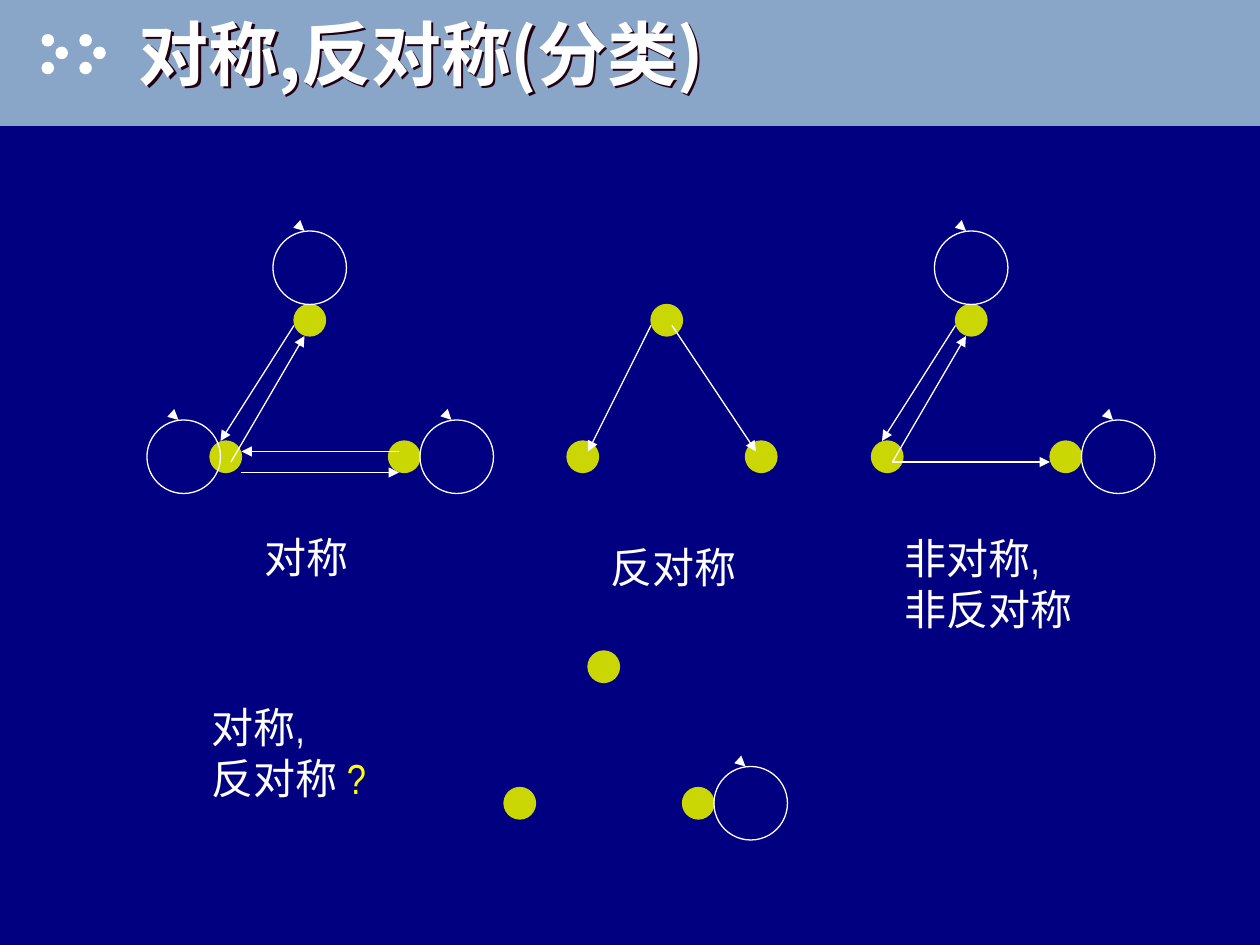
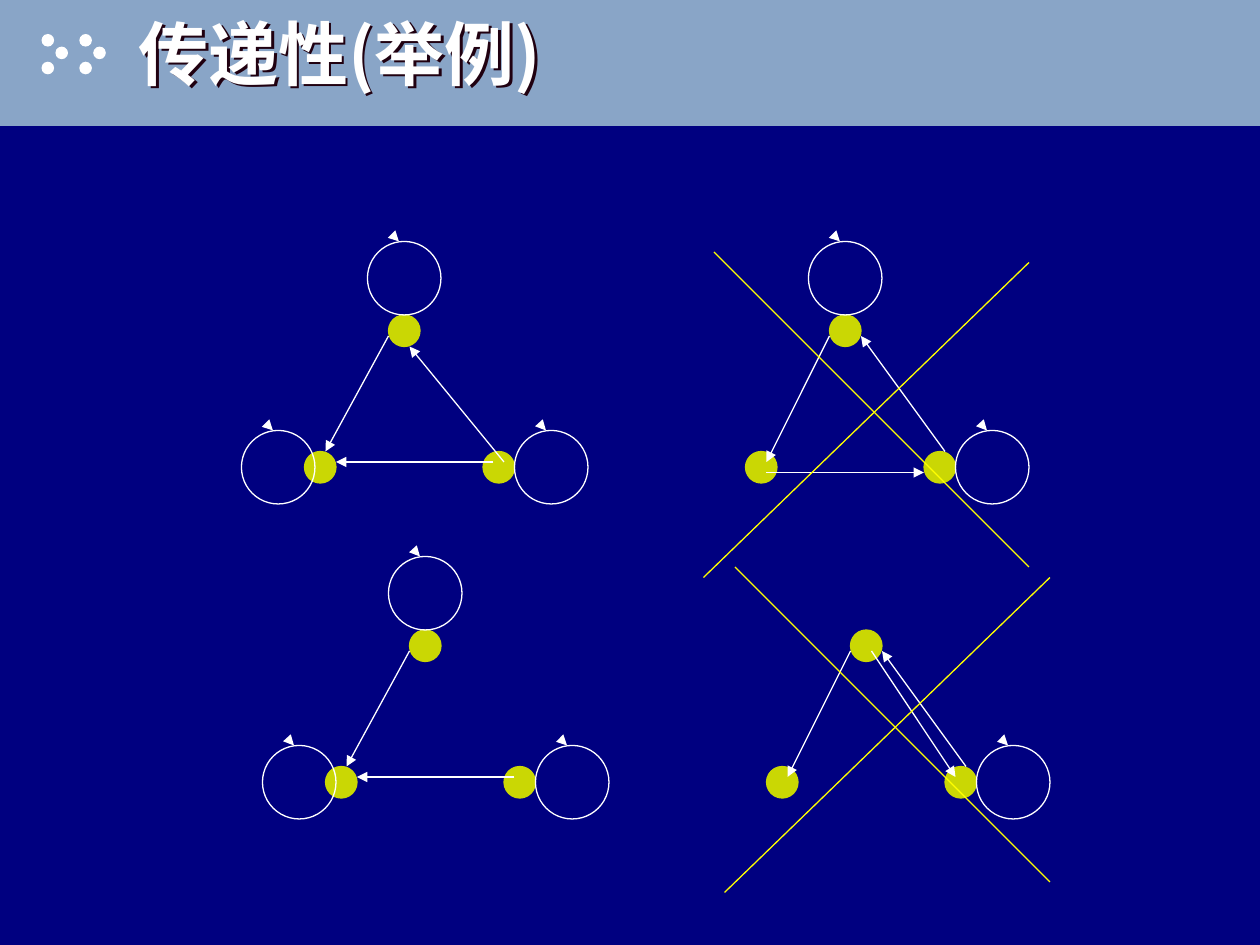
"""Build two slides of relation graphs: symmetry classes and transitivity examples."""
import pptx
import pptx.dml.color
import pptx.enum.shapes
import pptx.enum.text
import pptx.oxml
import pptx.util
from pptx.util import Inches

NAVY = pptx.dml.color.RGBColor(0x00, 0x00, 0x80)
BAND_BLUE = pptx.dml.color.RGBColor(0x89, 0xA5, 0xC7)
LIME = pptx.dml.color.RGBColor(0xCA, 0xD7, 0x04)
WHITE = pptx.dml.color.RGBColor(0xFF, 0xFF, 0xFF)
YELLOW = pptx.dml.color.RGBColor(0xFF, 0xFF, 0x00)
TITLE_SHADOW = pptx.dml.color.RGBColor(0x20, 0x00, 0x10)
CJK_FONT = "Noto Sans CJK SC"
DRAWING_NS = 'xmlns:a="http://schemas.openxmlformats.org/drawingml/2006/main"'
RECT = pptx.enum.shapes.MSO_SHAPE.RECTANGLE
OVAL = pptx.enum.shapes.MSO_SHAPE.OVAL
LINE_WIDTH = pptx.util.Pt(0.75)

GRID = Inches(1) / 12
NODE_SIZE = 3
LOOP_SIZE = 7
NODES = {"top": (0, 0), "left": (-8, 13), "right": (9, 13)}
LOOPS = {"top": (-2, -7), "left": (-14, 11), "right": (12, 11)}
CROSS = [(-11, -6, 19, 24), (-12, 25, 19, -5)]

TOP_TO_LEFT = (0, 2, -6, 14)
TOP_TO_LEFT_EDGE = (0, 2, -6, 13)
TOP_TO_LEFT_OUTER = (0, 2, -7, 13)
TOP_TO_RIGHT = (2, 2, 10, 14)
LEFT_TO_TOP = (-6, 15, 1, 3)
LEFT_TO_RIGHT = (-6, 15, 9, 15)
LEFT_TO_RIGHT_LOW = (-5, 16, 10, 16)
RIGHT_TO_LEFT = (10, 14, -5, 14)
RIGHT_TO_TOP = (11, 14, 2, 3)
RIGHT_TO_TOP_EDGE = (11, 13, 3, 2)

SLIDES = [
    ("对称,反对称(分类)", [
        (28, 29, ["top", "left", "right"],
         [LEFT_TO_TOP, LEFT_TO_RIGHT_LOW, TOP_TO_LEFT_OUTER, RIGHT_TO_LEFT], False),
        (62, 29, [], [TOP_TO_RIGHT, TOP_TO_LEFT], False),
        (91, 29, ["top", "right"],
         [LEFT_TO_TOP, LEFT_TO_RIGHT, TOP_TO_LEFT_OUTER], False),
        (56, 62, ["right"], [], False),
    ], [
        (2, 4.17, 0.92, 0.5, "对称", ""),
        (4.75, 4.25, 1.42, 0.5, "反对称", ""),
        (7.08, 4.18, 1.83, 0.9, "非对称,\n非反对称", ""),
        (1.58, 5.52, 1.75, 0.9, "对称,\n反对称 ", "?"),
    ]),
    ("传递性(举例)", [
        (37, 30, ["top", "left", "right"],
         [TOP_TO_LEFT_EDGE, RIGHT_TO_LEFT, RIGHT_TO_TOP], False),
        (79, 30, ["top", "right"],
         [TOP_TO_LEFT, RIGHT_TO_TOP_EDGE, LEFT_TO_RIGHT], True),
        (39, 60, ["top", "left", "right"],
         [TOP_TO_LEFT_EDGE, RIGHT_TO_LEFT], False),
        (81, 60, ["right"],
         [TOP_TO_RIGHT, TOP_TO_LEFT, RIGHT_TO_TOP_EDGE], True),
    ], []),
]


def add_text(paragraph, text, size=24, font="Arial Narrow", color=WHITE, bold=False):
    for number, line in enumerate(text.split("\n")):
        if number:
            paragraph.add_line_break()
        run = paragraph.add_run()
        run.text = line
        run.font.size = pptx.util.Pt(size)
        run.font.bold = bold
        run.font.color.rgb = color
        run.font.name = font
        run._r.get_or_add_rPr().append(
            pptx.oxml.parse_xml(f'<a:ea {DRAWING_NS} typeface="{CJK_FONT}"/>'))


def add_line(slide, x1, y1, x2, y2, color=WHITE, arrow=True):
    ends = [round(value * GRID) for value in (x1, y1, x2, y2)]
    line = slide.shapes.add_connector(pptx.enum.shapes.MSO_CONNECTOR.STRAIGHT, *ends)
    line.line.color.rgb = color
    line.line.width = LINE_WIDTH
    if arrow:
        line.line._get_or_add_ln().append(
            pptx.oxml.parse_xml(f'<a:tailEnd {DRAWING_NS} type="triangle"/>'))
    line.element.spPr.append(pptx.oxml.parse_xml(f"<a:effectLst {DRAWING_NS}/>"))


deck = pptx.Presentation()
deck.slide_width, deck.slide_height = Inches(10), Inches(7.5)
layout = deck.slide_layouts.get_by_name("Title Only")
layout.background.fill.solid()
layout.background.fill.fore_color.rgb = NAVY
slides = [deck.slides.add_slide(layout) for _ in SLIDES]

decorations = [(RECT, 0, 0, 10, 1, BAND_BLUE)]
for chevron_left in (0.33, 0.63):
    for dx, top in ((0, 0.27), (0.11, 0.37), (0, 0.49)):
        decorations.append((OVAL, chevron_left + dx, top, 0.1, 0.1, WHITE))
for position, (kind, left, top, width, height, color) in enumerate(decorations):
    decoration = slides[0].shapes.add_shape(
        kind, Inches(left), Inches(top), Inches(width), Inches(height))
    decoration.shadow.inherit = False
    decoration.fill.solid()
    decoration.fill.fore_color.rgb = color
    decoration.line.fill.background()
    layout.shapes.element.insert(2 + position, decoration.element)

for slide, (heading, graphs, captions) in zip(slides, SLIDES):
    title = slide.shapes.title
    title.left, title.top, title.width, title.height = Inches(1), 0, Inches(9), Inches(0.83)
    title.fill.background()
    title.element.spPr.append(pptx.oxml.parse_xml(
        f'<a:effectLst {DRAWING_NS}><a:outerShdw dist="25400" dir="2700000" algn="ctr" '
        f'rotWithShape="0"><a:srgbClr val="{TITLE_SHADOW}"/></a:outerShdw></a:effectLst>'))
    title.text_frame.vertical_anchor = pptx.enum.text.MSO_ANCHOR.MIDDLE
    title.text_frame.paragraphs[0].alignment = pptx.enum.text.PP_ALIGN.LEFT
    add_text(title.text_frame.paragraphs[0], heading, size=40, font=CJK_FONT, bold=True)

    for x, y, loops, arrows, crossed in graphs:
        circles = [(dx, dy, NODE_SIZE, LIME) for dx, dy in NODES.values()]
        circles += [(*LOOPS[place], LOOP_SIZE, WHITE) for place in loops]
        for dx, dy, size, color in circles:
            circle = slide.shapes.add_shape(
                OVAL, round((x + dx) * GRID), round((y + dy) * GRID),
                round(size * GRID), round(size * GRID))
            circle.shadow.inherit = False
            circle.line.color.rgb = color
            circle.line.width = LINE_WIDTH
            if size == NODE_SIZE:
                circle.fill.solid()
                circle.fill.fore_color.rgb = color
            else:
                circle.fill.background()
                tip_x, tip_y = x + dx + 3, y + dy
                add_line(slide, tip_x - 0.05, tip_y - 0.05, tip_x, tip_y)
        for x1, y1, x2, y2 in arrows:
            add_line(slide, x + x1, y + y1, x + x2, y + y2)
        if crossed:
            for x1, y1, x2, y2 in CROSS:
                add_line(slide, x + x1, y + y1, x + x2, y + y2, color=YELLOW, arrow=False)

    for left, top, width, height, words, mark in captions:
        caption = slide.shapes.add_textbox(Inches(left), Inches(top), Inches(width), Inches(height))
        caption.text_frame.word_wrap = True
        add_text(caption.text_frame.paragraphs[0], words)
        if mark:
            add_text(caption.text_frame.paragraphs[0], mark, color=YELLOW)

deck.save("out.pptx")
